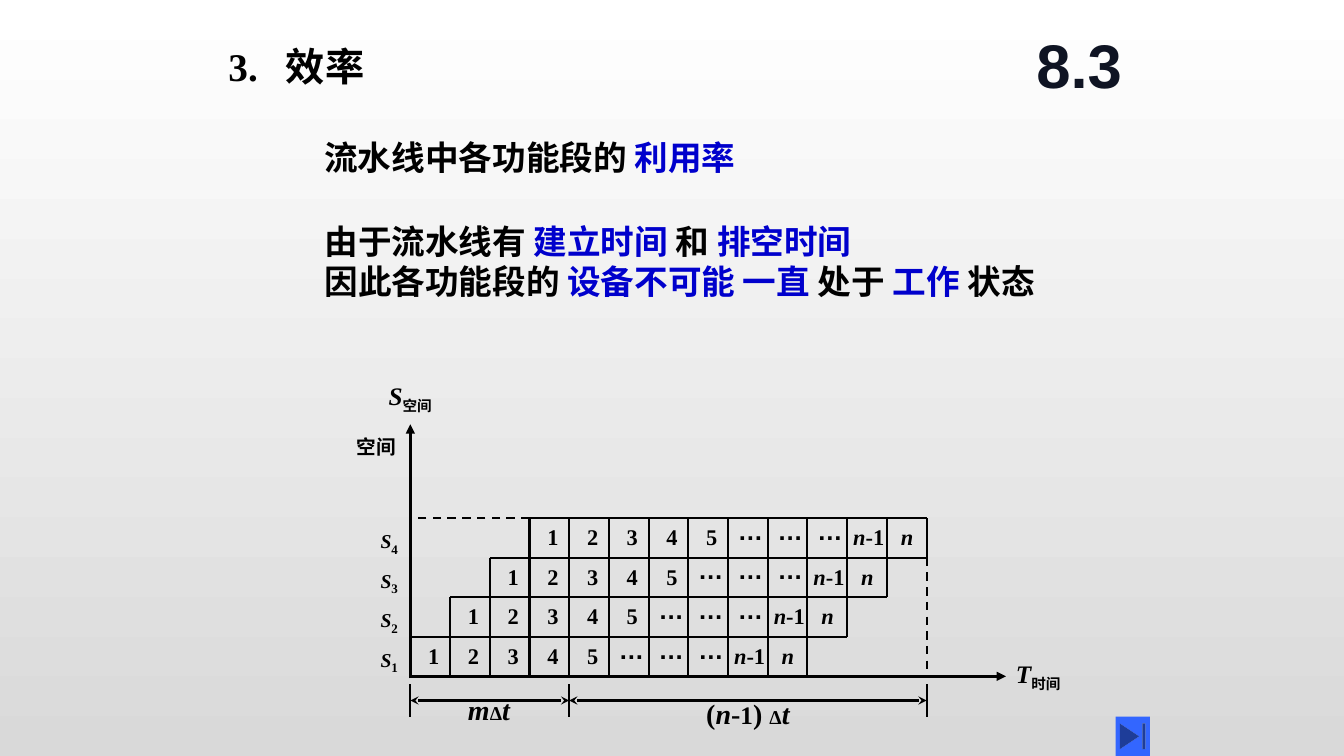
"""Build the slide on pipeline efficiency with its space-time chart."""
import pptx
import pptx.util
import pptx.dml.color
import pptx.enum.dml
import pptx.enum.shapes
import pptx.enum.text
import pptx.oxml
import pptx.oxml.ns

Inches = pptx.util.Inches
HUES = {"black": "000000", "blue": "0000CC", "navy": "0F1423",
        "white": "FFFFFF", "grey": "D9D9D9", "button": "3366FF"}
RGB = {name: pptx.dml.color.RGBColor.from_string(code) for name, code in HUES.items()}
WIDE, TALL = 13.33, 7.5
VX, VY = WIDE / 100, TALL / 100
LEFT, BASE = 4.07, 6.71
COL, ROW = 5.12 / 13, 1.57 / 4
SERIF = {"name": "Times New Roman", "bold": True}
ITAL = {"italic": True}
BLUE = {"hue": "blue"}
LOW = {"base": "-25000"}

deck = pptx.Presentation()
deck.slide_width, deck.slide_height = Inches(WIDE), Inches(TALL)
slide = deck.slides.add_slide(deck.slide_layouts[6])
back = slide.background.fill
back.gradient()
back.gradient_angle = 270
for stop, hue in zip(back.gradient_stops, ("white", "grey")):
    stop.color.rgb = RGB[hue]


def put(left, top, wide, tall, size, lines, tabs=(), frame={}, **extra):
    box = slide.shapes.add_textbox(*map(Inches, (left, top, wide, tall)))
    body = box.text_frame
    for key, val in {"word_wrap": True, **frame}.items():
        setattr(body, key, val)
    for num, line in enumerate(lines):
        para = body.add_paragraph() if num else body.paragraphs[0]
        if tabs:
            stops = pptx.oxml.parse_xml(f"<a:tabLst {pptx.oxml.ns.nsdecls('a')}/>")
            for tab in tabs:
                mark = stops.makeelement(pptx.oxml.ns.qn("a:tab"), {"pos": str(Inches(tab)), "algn": "l"})
                stops.append(mark)
            para._p.get_or_add_pPr().append(stops)
        for text, look in line:
            run = para.add_run()
            run.text = text
            form = {**SERIF, "size": size, "hue": "black", **extra, **look}
            run.font.color.rgb = RGB[form.pop("hue")]
            base = form.pop("base", None)
            form["size"] = pptx.util.Pt(form["size"])
            for key, val in form.items():
                setattr(run.font, key, val)
            if base:
                run._r.get_or_add_rPr().set("baseline", base)
    return body


def rule(start, end, width=1.5, head=None, tail=None, dash=False):
    ends = [Inches(val) for col, row in (start, end)
            for val in (LEFT + col * COL, BASE - row * ROW)]
    line = slide.shapes.add_connector(pptx.enum.shapes.MSO_CONNECTOR.STRAIGHT, *ends)
    line.line.color.rgb = RGB["black"]
    line.line.width = pptx.util.Pt(width)
    if dash:
        line.line.dash_style = pptx.enum.dml.MSO_LINE.DASH
    pen = line.line._get_or_add_ln()
    for tag, kind in (("a:headEnd", head), ("a:tailEnd", tail)):
        if kind:
            pen.append(pen.makeelement(pptx.oxml.ns.qn(tag), {"type": kind}))
    props = line._element.spPr
    props.append(props.makeelement(pptx.oxml.ns.qn("a:effectLst"), {}))


middle = {"vertical_anchor": pptx.enum.text.MSO_ANCHOR.MIDDLE}
put(17 * VX, 4.8 * VY, 19.4 * VX, 7.7 * VY, 28, [[("3.\t效率", {})]], tabs=[0.57],
    frame={**middle, "word_wrap": False, "margin_left": 0, "margin_right": 0})
mark = put(75.6 * VX, 2.3 * VY, 9.4 * VX, 12.3 * VY, 44, [[("8.3", {})]],
           frame=middle, name="Arial", hue="navy")
mark.paragraphs[0].alignment = pptx.enum.text.PP_ALIGN.CENTER
put(23.4 * VX, 17.5 * VY, 67.7 * VX, 6.7 * VY, 24,
    [[("流水线中各功能段的 ", {}), ("利用率", BLUE)]])
put(23.4 * VX, 28.5 * VY, 59.6 * VX, 13 * VY, 24, [
    [("由于流水线有 ", {}), ("建立时间", BLUE), (" 和 ", {}), ("排空时间", BLUE)],
    [("因此各功能段的 ", {}), ("设备不可能 一直", BLUE), (" 处于 ", {}),
     ("工作", BLUE), (" 状态", {})]])

rule((0, 0), (15, 0), 2.25, tail="triangle")
rule((0, -0.05), (0, 6.37), 2.25, tail="triangle")
for row in range(1, 5):
    rule((row - 1, row), (min(row + 10, 13), row))
for col in range(1, 14):
    rule((col, max(0, col - 10)), (col, min(col + 1, 4)))
rule((3, 4), (0, 4), dash=True)
rule((13, 3), (13, 0), dash=True)
for col in (0, 4, 13):
    rule((col, -0.2), (col, -1.02))
for start, end in ((0, 4), (4, 13)):
    rule((start, -0.61), (end, -0.61), head="stealth", tail="stealth")

for step in range(4):
    edge, top = LEFT + step * COL, BASE - (step + 1) * ROW
    for num in range(5):
        put(edge + (num + 0.2) * COL, top, 0.6 * COL, 0.94 * ROW, 16, [[(str(num + 1), {})]])
    put(edge + 5 * COL, top - 0.2 * ROW, 3.2 * COL, ROW, 18, [[("…\t…\t…", {})]],
        tabs=[COL, 2 * COL], name="Arial")
    put(edge + 8 * COL, top, 2.4 * COL, 0.94 * ROW, 16,
        [[("n", ITAL), ("-1\t", {}), ("n", ITAL)]], tabs=[1.2 * COL],
        frame={"margin_left": Inches(0.06)})
    put(LEFT - COL, top + 0.08 * ROW, 1.2 * COL, 0.87 * ROW, 14,
        [[("S", ITAL), (str(step + 1), {"size": 16, **LOW})]])

delta = ("Δ", {"size": 14})
LABELS = [
    (1.2, -0.28, 3.8, 20, [("m", ITAL), delta, ("t", ITAL)]),
    (7.2, -0.38, 3.8, 20, [("(", {}), ("n", ITAL), ("-", {}), ("1", {"size": 18}),
                           (") ", {}), delta, ("t", ITAL)]),
    (15, 0.58, 2.4, 18, [("T", ITAL), ("时间", LOW)]),
    (-0.8, 7.62, 2, 18, [("S", ITAL), ("空间", LOW)]),
    (-1.6, 6.22, 2, 14, [("空间", {})]),
]
for col, row, wide, size, runs in LABELS:
    put(LEFT + col * COL, BASE - row * ROW, wide * COL, ROW, size, [runs])

button = slide.shapes.add_shape(
    pptx.enum.shapes.MSO_SHAPE.ACTION_BUTTON_END,
    *map(Inches, (83 * VX, 94.8 * VY, 2.55 * VX, 5.2 * VY)))
button.shadow.inherit = False
button.fill.solid()
button.fill.fore_color.rgb = RGB["button"]
button.line.fill.background()

deck.save("out.pptx")
